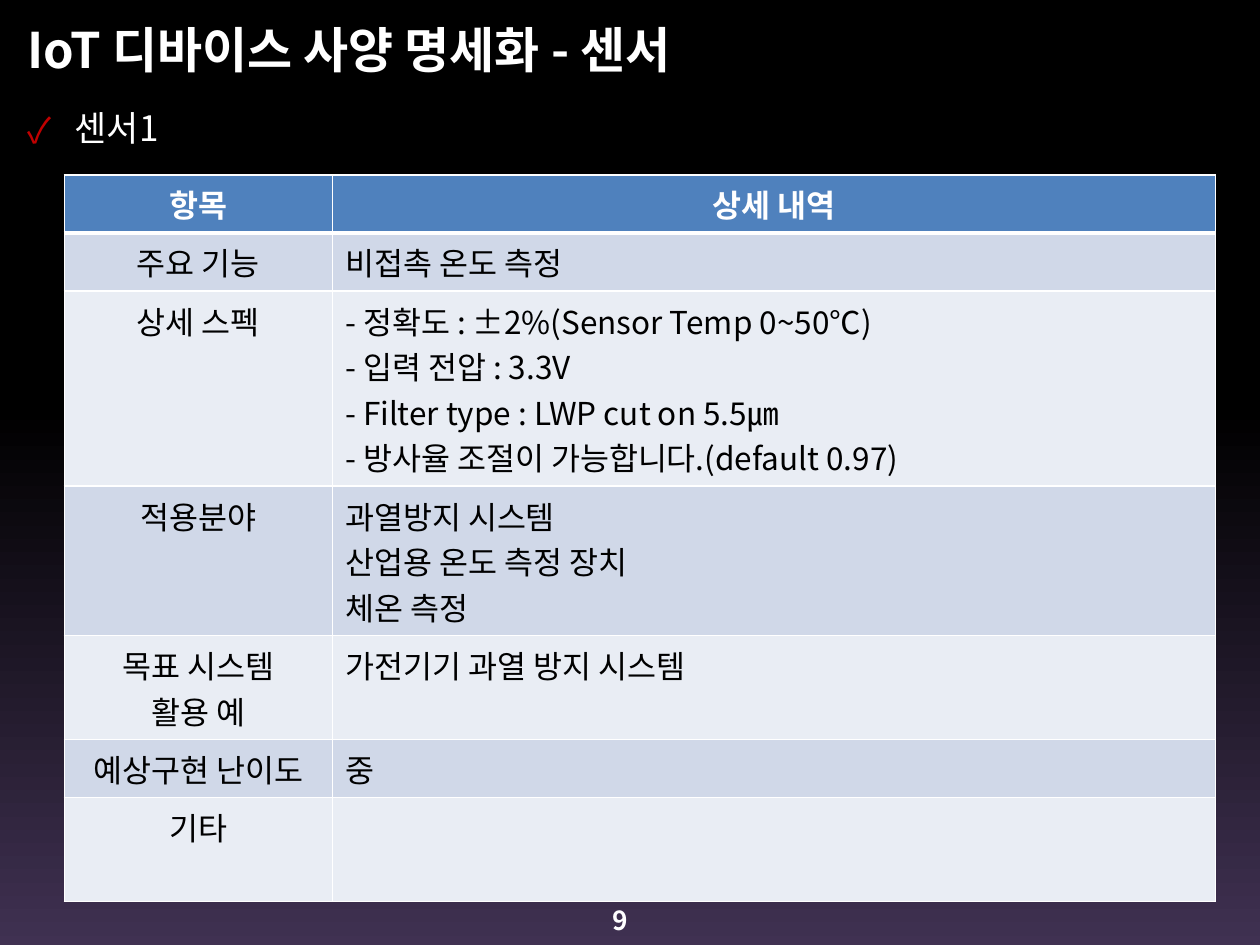
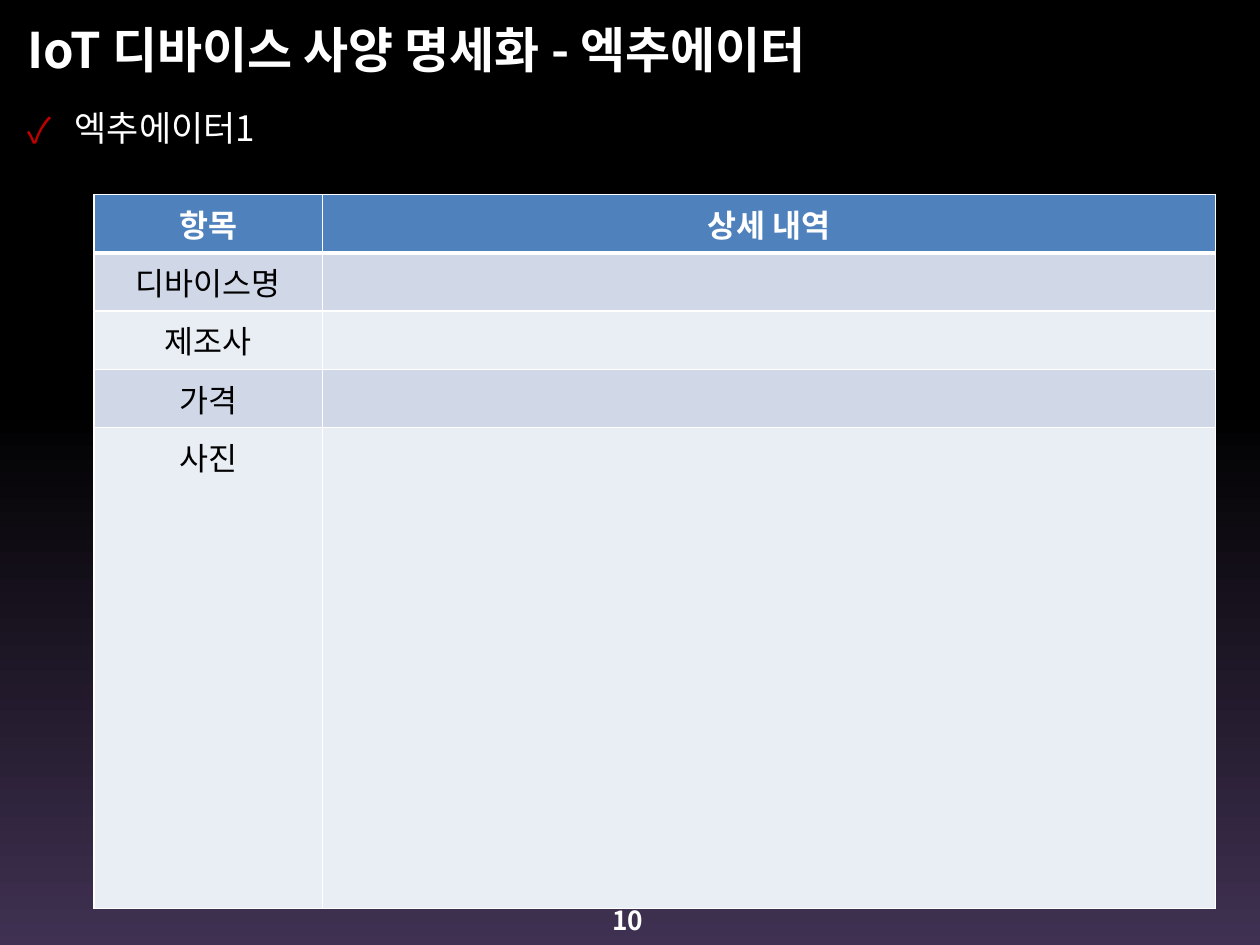
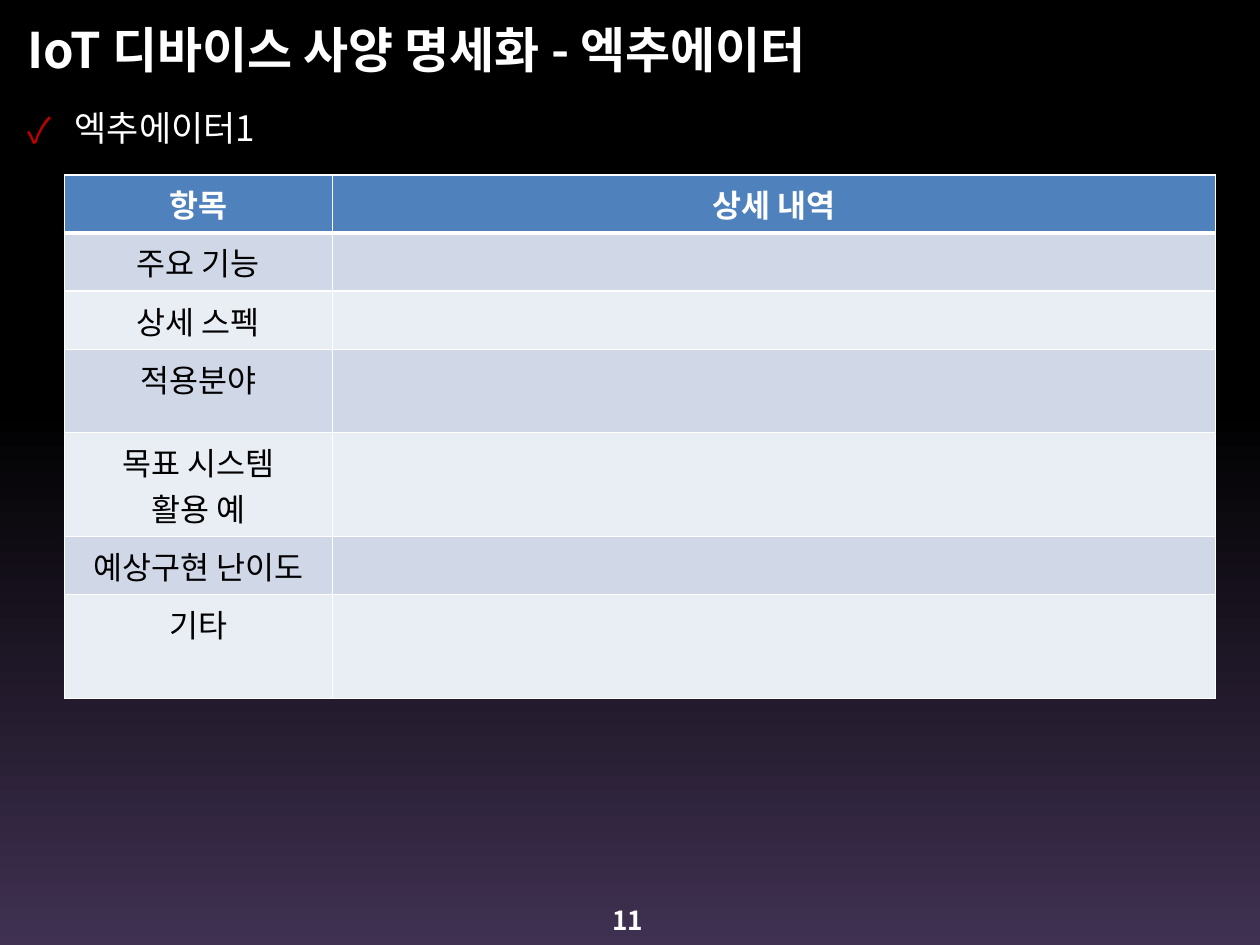
from pptx import Presentation
from pptx.dml.color import RGBColor
from pptx.enum.shapes import MSO_SHAPE as SHAPE
from pptx.enum.text import MSO_ANCHOR as ANCHOR, PP_ALIGN as ALIGN
from pptx.oxml.ns import qn
from pptx.util import Pt
from lxml.etree import SubElement

# Content
HEADER = ("항목", ["상세 내역"])
FIRST_PAGE = 9
SPEC_FORM = {"left": 36.8, "top": 99.9, "widths": (153.2, 504.6)}
DEVICE_FORM = {"left": 53.8, "top": 111.3, "widths": (130.4, 510.4)}
SLIDES = [
    {"topic": "센서", "item": "센서1", "form": SPEC_FORM, "rows": [
        ("주요 기능", ["비접촉 온도 측정"], 1),
        ("상세 스펙", ["- 정확도 : ±2%(Sensor Temp 0~50℃)",
                   "- 입력 전압 : 3.3V",
                   "- Filter type : LWP cut on 5.5㎛",
                   "- 방사율 조절이 가능합니다.(default 0.97)"], 4),
        ("적용분야", ["과열방지 시스템", "산업용 온도 측정 장치", "체온 측정"], 3),
        ("목표 시스템\n활용 예", ["가전기기 과열 방지 시스템"], 2),
        ("예상구현 난이도", ["중"], 1),
        ("기타", [], 2)]},
    {"topic": "엑추에이터", "item": "엑추에이터1", "form": DEVICE_FORM, "rows": [
        ("디바이스명", [], 1), ("제조사", [], 1), ("가격", [], 1),
        ("사진", [], 10.27)]},
    {"topic": "엑추에이터", "item": "엑추에이터1", "form": SPEC_FORM, "rows": [
        ("주요 기능", [], 1), ("상세 스펙", [], 1), ("적용분야", [], 1.55),
        ("목표 시스템\n활용 예", [], 2), ("예상구현 난이도", [], 1),
        ("기타", [], 2)]},
]

# Shared look
FONT = "Noto Sans CJK KR"
WHITE, BLACK, PURPLE, RED = "FFFFFF", "000000", "403152", "C00000"
HEAD_FILL, BANDS = "4F81BD", ("D0D8E8", "E9EDF4")
TITLE = {"size": Pt(28), "bold": True}
ITEM = {"size": Pt(20), "bold": False}
PAGE = {"size": Pt(15), "bold": True}
HEAD_CELL = {"size": Pt(18), "bold": True}
BODY_CELL = {"size": Pt(18), "bold": False}
LINE_HEIGHT, CELL_PADDING = 26.06, 7.2  # row height = lines * LINE_HEIGHT + padding


def rgb(value):
    return RGBColor.from_string(value)


def write(p, text, style, color=WHITE, align=ALIGN.LEFT):
    p.text, p.alignment = text, align
    for r in p.runs:
        for name, value in {**style, "name": FONT}.items():
            setattr(r.font, name, value)
        r.font.color.rgb = rgb(color)
        rPr = r.font._element
        rPr.set("kern", "0")
        SubElement(rPr, qn("a:ea"), typeface=FONT)


def add_text(s, box, text, style, anchor=ANCHOR.TOP):
    tf = s.shapes.add_textbox(*map(Pt, box)).text_frame
    tf.word_wrap, tf.vertical_anchor = True, anchor
    write(tf.paragraphs[0], text, style)
    return tf.paragraphs[0]


def add_check(p):
    p.space_before = Pt(4)
    pPr = p._p.get_or_add_pPr()
    pPr.set("marL", str(Pt(27)))
    pPr.set("indent", str(-Pt(27)))
    SubElement(SubElement(pPr, qn("a:buClr")), qn("a:srgbClr"), val=RED)
    SubElement(pPr, qn("a:buFont"), typeface=FONT)
    SubElement(pPr, qn("a:buChar"), char="✓")


def add_backdrop(s):
    sp = s.shapes.add_shape(SHAPE.RECTANGLE, *map(Pt, (-6.5, -1.4, 729.4, 543.6)))
    sp.shadow.inherit = False
    sp.fill.gradient()
    sp.fill.gradient_angle = 90
    for stop, (position, color) in zip(sp.fill.gradient_stops,
                                       ((0, PURPLE), (0.57, BLACK))):
        stop.position, stop.color.rgb = position, rgb(color)
    sp.line.color.rgb, sp.line.width = rgb(WHITE), Pt(2)


def format_cell(cell, row):
    # Thick rule between the header and the first body row
    widths = {"L": 1, "R": 1, "T": 3 if row == 1 else 1, "B": 3 if row == 0 else 1}
    tcPr = cell._tc.get_or_add_tcPr()
    for side, width in widths.items():
        ln = SubElement(tcPr, qn(f"a:ln{side}"), w=str(Pt(width)))
        SubElement(SubElement(ln, qn("a:solidFill")), qn("a:srgbClr"), val=WHITE)
    cell.fill.solid()
    cell.fill.fore_color.rgb = rgb(BANDS[(row - 1) % 2] if row else HEAD_FILL)


def add_form(s, form, body):
    rows = [(*HEADER, 1), *body]
    heights = [lines * LINE_HEIGHT + CELL_PADDING for *_, lines in rows]
    box = (form["left"], form["top"], sum(form["widths"]), sum(heights))
    table = s.shapes.add_table(len(rows), 2, *map(Pt, box)).table
    for column, width in zip(table.columns, form["widths"]):
        column.width = Pt(width)
    for i, (label, details, _) in enumerate(rows):
        table.rows[i].height = Pt(heights[i])
        style, color = (BODY_CELL, BLACK) if i else (HEAD_CELL, WHITE)
        for j, texts in enumerate(([label], details)):
            cell = table.cell(i, j)
            format_cell(cell, i)
            align = ALIGN.LEFT if i and j else ALIGN.CENTER
            tf = cell.text_frame
            for n, text in enumerate(texts):
                p = tf.add_paragraph() if n else tf.paragraphs[0]
                write(p, text, style, color, align)


def main():
    prs = Presentation()
    prs.slide_width, prs.slide_height = Pt(720), Pt(540)
    for page, content in enumerate(SLIDES, FIRST_PAGE):
        s = prs.slides.add_slide(prs.slide_layouts[6])
        add_backdrop(s)
        add_text(s, (8.6, 5.4, 697.7, 45.4),
                 f"IoT 디바이스 사양 명세화 - {content['topic']}", TITLE, ANCHOR.MIDDLE)
        add_check(add_text(s, (8.6, 57.6, 702.7, 405.4), content["item"], ITEM))
        add_text(s, (342.7, 513.4, 48.2, 28.8), str(page), PAGE)
        add_form(s, content["form"], content["rows"])
    prs.save("out.pptx")


if __name__ == "__main__":
    main()
